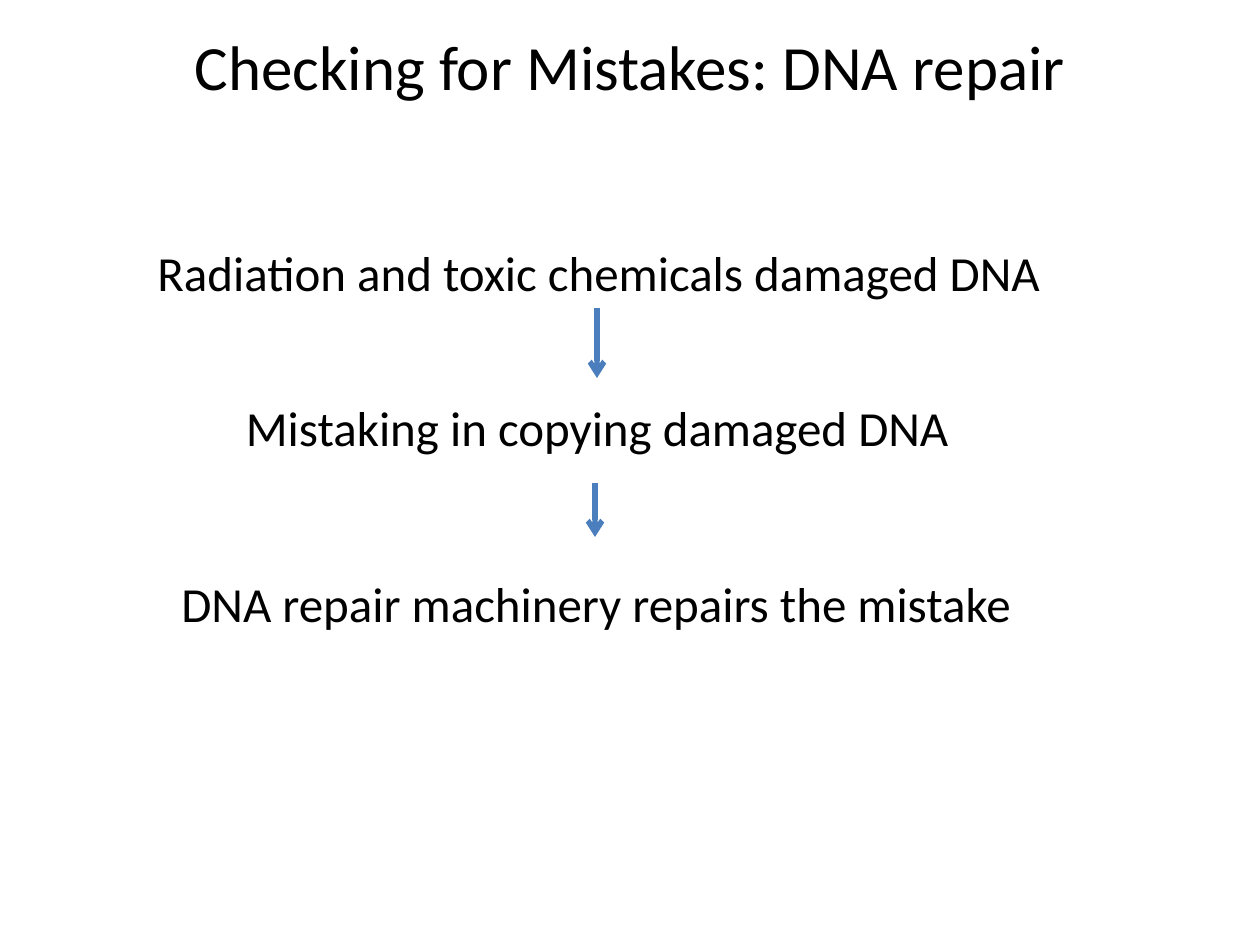
from lxml import etree
from pptx import Presentation
from pptx.dml.color import RGBColor
from pptx.enum.shapes import MSO_CONNECTOR
from pptx.enum.text import MSO_AUTO_SIZE, PP_ALIGN
from pptx.oxml.ns import qn
from pptx.util import Emu, Pt

STRAIGHT = MSO_CONNECTOR.STRAIGHT
CENTER = PP_ALIGN.CENTER
GROW = MSO_AUTO_SIZE.SHAPE_TO_FIT_TEXT
EMU_PER_PX = 914400 / 126
COLORS = {"text": "000000", "arrow": "4B7EBC"}
STEP_HEIGHT = 72


def px(length):
    """Turn whole pixels into EMU."""
    return Emu(round(length * EMU_PER_PX))


class SlideBuilder:
    """Hold the text style and the current slide."""

    def __init__(self, slide, font_name):
        self.slide = slide
        self.font_name = font_name

    def text(self, wording, left, top, width, height, size, wrap):
        box = self.slide.shapes.add_textbox(px(left), px(top), px(width), px(height))
        frame = box.text_frame
        frame.word_wrap = wrap
        frame.auto_size = GROW
        paragraph = frame.paragraphs[0]
        paragraph.alignment = CENTER
        run = paragraph.add_run()
        run.text = wording
        for attribute, value in {"name": self.font_name, "size": Pt(size)}.items():
            setattr(run.font, attribute, value)
        run.font.color.rgb = RGBColor.from_string(COLORS["text"])

    def down_arrow(self, x, top, bottom):
        arrow = self.slide.shapes.add_connector(STRAIGHT, px(x), px(top), px(x), px(bottom))
        arrow.line.width = Pt(3)
        arrow.line.color.rgb = RGBColor.from_string(COLORS["arrow"])
        etree.SubElement(arrow.line._get_or_add_ln(), qn("a:tailEnd"), type="arrow")
        etree.SubElement(arrow._element.spPr, qn("a:effectLst"))


def main():
    deck = Presentation()
    deck.slide_width, deck.slide_height = px(1260), px(945)
    builder = SlideBuilder(deck.slides.add_slide(deck.slide_layouts[6]), "Calibri")
    builder.text("Checking for Mistakes: DNA repair", 0, 21, 1260, 89, 36, True)

    repair_steps = [
        ("Radiation and toxic chemicals damaged DNA", 139, 236, 919),
        ("Mistaking in copying damaged DNA", 229, 391, 736),
        ("DNA repair machinery repairs the mistake", 164, 567, 864),
    ]
    for wording, left, top, width in repair_steps:
        builder.text(wording, left, top, width, STEP_HEIGHT, 28, False)

    for x, top, bottom in [(597, 308, 378), (595, 483, 537)]:
        builder.down_arrow(x, top, bottom)

    deck.save("out.pptx")


if __name__ == "__main__":
    main()
